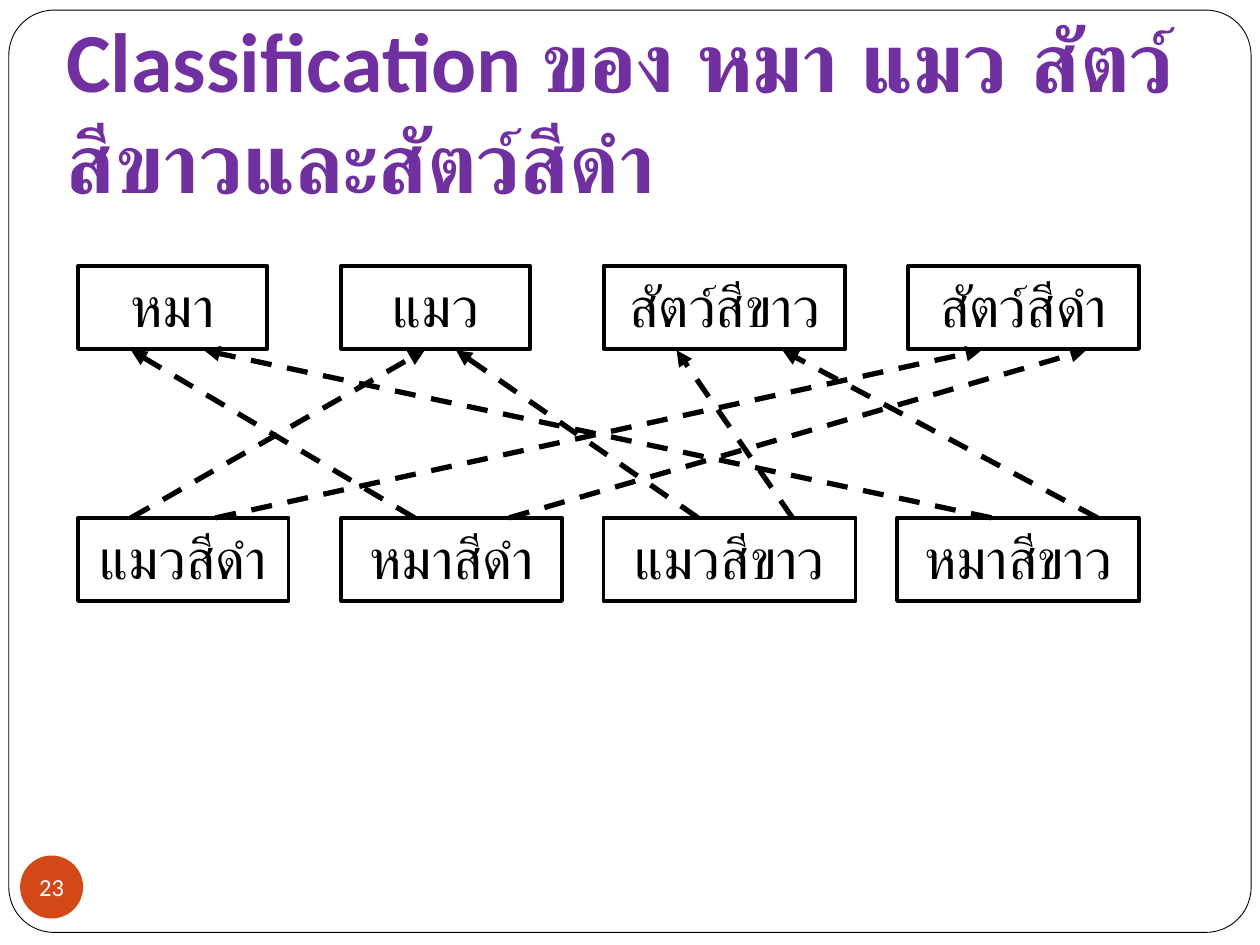
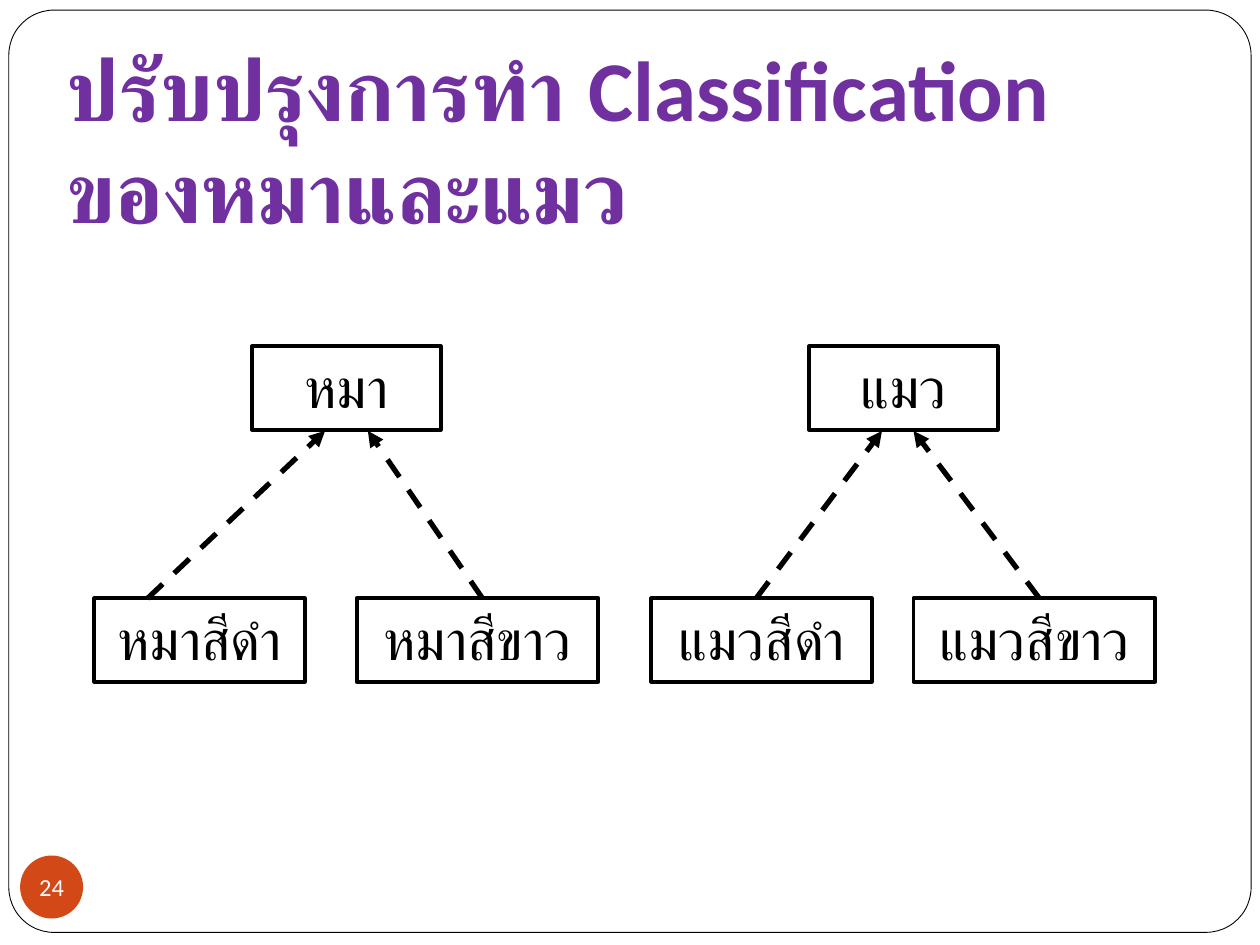
from pptx import Presentation
from pptx.dml.color import RGBColor
from pptx.enum.dml import MSO_LINE
from pptx.enum.shapes import MSO_CONNECTOR, MSO_SHAPE
from pptx.enum.text import MSO_ANCHOR, MSO_AUTO_SIZE, PP_ALIGN
from pptx.oxml.ns import qn
from pptx.util import Inches, Pt
from lxml.etree import SubElement

BLACK = RGBColor(0x00, 0x00, 0x00)
WHITE = RGBColor(0xFF, 0xFF, 0xFF)
PURPLE = RGBColor(0x70, 0x30, 0xA0)
ORANGE = RGBColor(0xD3, 0x48, 0x17)
FONT = "Calibri"
BOX_HEIGHT = 0.66
ROW_STEP = 2.0
LINK_END = 0.67


def write(shape, text, size, color, bold=False, align=PP_ALIGN.CENTER):
    """Put one formatted paragraph into a shape."""
    shape.text_frame.text = text
    para = shape.text_frame.paragraphs[0]
    para.alignment = align
    font = para.runs[0].font
    font.name, font.size, font.bold = FONT, Pt(size), bold
    font.color.rgb = color


def set_insets(frame, left, top, right, bottom):
    """Set the four text margins in inches."""
    frame.margin_left, frame.margin_top = Inches(left), Inches(top)
    frame.margin_right, frame.margin_bottom = Inches(right), Inches(bottom)


def add_figure(page, kind, left, top, width, height, fill=None, line_width=None):
    """Add a preset shape with an optional fill and black outline."""
    shape = page.shapes.add_shape(
        kind, Inches(left), Inches(top), Inches(width), Inches(height))
    shape.shadow.inherit = False
    if fill is None:
        shape.fill.background()
    else:
        shape.fill.solid()
        shape.fill.fore_color.rgb = fill
    if line_width is None:
        shape.line.fill.background()
    else:
        shape.line.color.rgb = BLACK
        shape.line.width = Pt(line_width)
    return shape


def add_frame(page):
    """Draw the rounded border of the slide."""
    frame = add_figure(page, MSO_SHAPE.ROUNDED_RECTANGLE,
                       0.07, 0.08, 9.86, 7.32, WHITE, 0.5)
    frame.adjustments[0] = 0.049


def add_title(page, text, top, size):
    """Write the bottom-anchored slide title."""
    title = page.shapes.add_textbox(
        Inches(0.43), Inches(top), Inches(9.03), Inches(1.25))
    frame = title.text_frame
    frame.word_wrap = True
    frame.vertical_anchor = MSO_ANCHOR.BOTTOM
    set_insets(frame, 0.1, 0.05, 0.1, 0.1)
    write(title, text, size, PURPLE, True, PP_ALIGN.LEFT)


def add_page_number(page, number):
    """Draw the round page number badge."""
    badge = add_figure(page, MSO_SHAPE.OVAL, 0.16, 6.79, 0.5, 0.5, ORANGE)
    frame = badge.text_frame
    frame.word_wrap = False
    frame.vertical_anchor = MSO_ANCHOR.MIDDLE
    set_insets(frame, 0, 0, 0, 0)
    write(badge, str(number), 14, WHITE)


def add_row(page, left, top, boxes):
    """Draw one row of labelled boxes given as text, offset and width."""
    for text, offset, width in boxes:
        box = add_figure(page, MSO_SHAPE.RECTANGLE, left + offset, top,
                         width, BOX_HEIGHT, line_width=2.25)
        frame = box.text_frame
        frame.word_wrap = True
        frame.vertical_anchor = MSO_ANCHOR.TOP
        frame.auto_size = MSO_AUTO_SIZE.SHAPE_TO_FIT_TEXT
        write(box, text, 32, BLACK)


def add_link(page, start_x, start_y, end_x, end_y):
    """Draw a dashed line with an arrowhead at its end."""
    link = page.shapes.add_connector(
        MSO_CONNECTOR.STRAIGHT, Inches(start_x), Inches(start_y),
        Inches(end_x), Inches(end_y))
    link.line.color.rgb = BLACK
    link.line.width = Pt(3)
    link.line.dash_style = MSO_LINE.DASH
    SubElement(link.line._get_or_add_ln(), qn("a:tailEnd"), type="triangle")
    SubElement(link._element.spPr, qn("a:effectLst"))


def add_diagram(page, left, top, parents, children, links):
    """Draw parent and child rows joined by upward arrows."""
    child_top = top + ROW_STEP
    add_row(page, left, child_top, children)
    add_row(page, left, top, parents)
    for child_x, parent_x in links:
        add_link(page, left + child_x, child_top, left + parent_x, top + LINK_END)


def add_page(deck, number, title, title_top, title_size, diagram):
    """Build one complete slide."""
    page = deck.slides.add_slide(deck.slide_layouts[6])
    add_frame(page)
    add_title(page, title, title_top, title_size)
    add_diagram(page, **diagram)
    add_page_number(page, number)


MIXED_CLASSES = dict(
    left=0.62, top=2.11,
    parents=[("หมา", 0, 1.5), ("แมว", 2.09, 1.5),
             ("สัตว์สีขาว", 4.17, 1.92), ("สัตว์สีดำ", 6.59, 1.83)],
    children=[("แมวสีดำ", 0, 1.67), ("หมาสีดำ", 2.09, 1.75),
              ("แมวสีขาว", 4.17, 2), ("หมาสีขาว", 6.5, 1.92)],
    links=[(0.42, 2.75), (1.09, 7.17), (2.67, 0.42), (3.42, 8),
           (4.92, 3), (5.67, 4.75), (7.25, 1), (8.09, 5.59)])

SEPARATE_CLASSES = dict(
    left=0.75, top=2.75,
    parents=[("หมา", 1.25, 1.5), ("แมว", 5.67, 1.5)],
    children=[("หมาสีดำ", 0, 1.67), ("หมาสีขาว", 2.08, 1.92),
              ("แมวสีดำ", 4.42, 1.75), ("แมวสีขาว", 6.5, 1.92)],
    links=[(0.42, 1.83), (3.08, 2.17), (5.25, 6.25), (7.5, 6.5)])

deck = Presentation()
deck.slide_width, deck.slide_height = Inches(10), Inches(7.5)
add_page(deck, 23, "Classification ของ หมา แมว สัตว์สีขาวและสัตว์สีดำ",
         0.52, 48, MIXED_CLASSES)
add_page(deck, 24, "ปรับปรุงการทำ Classification ของหมาและแมว",
         0.76, 48.6, SEPARATE_CLASSES)
deck.save("out.pptx")
